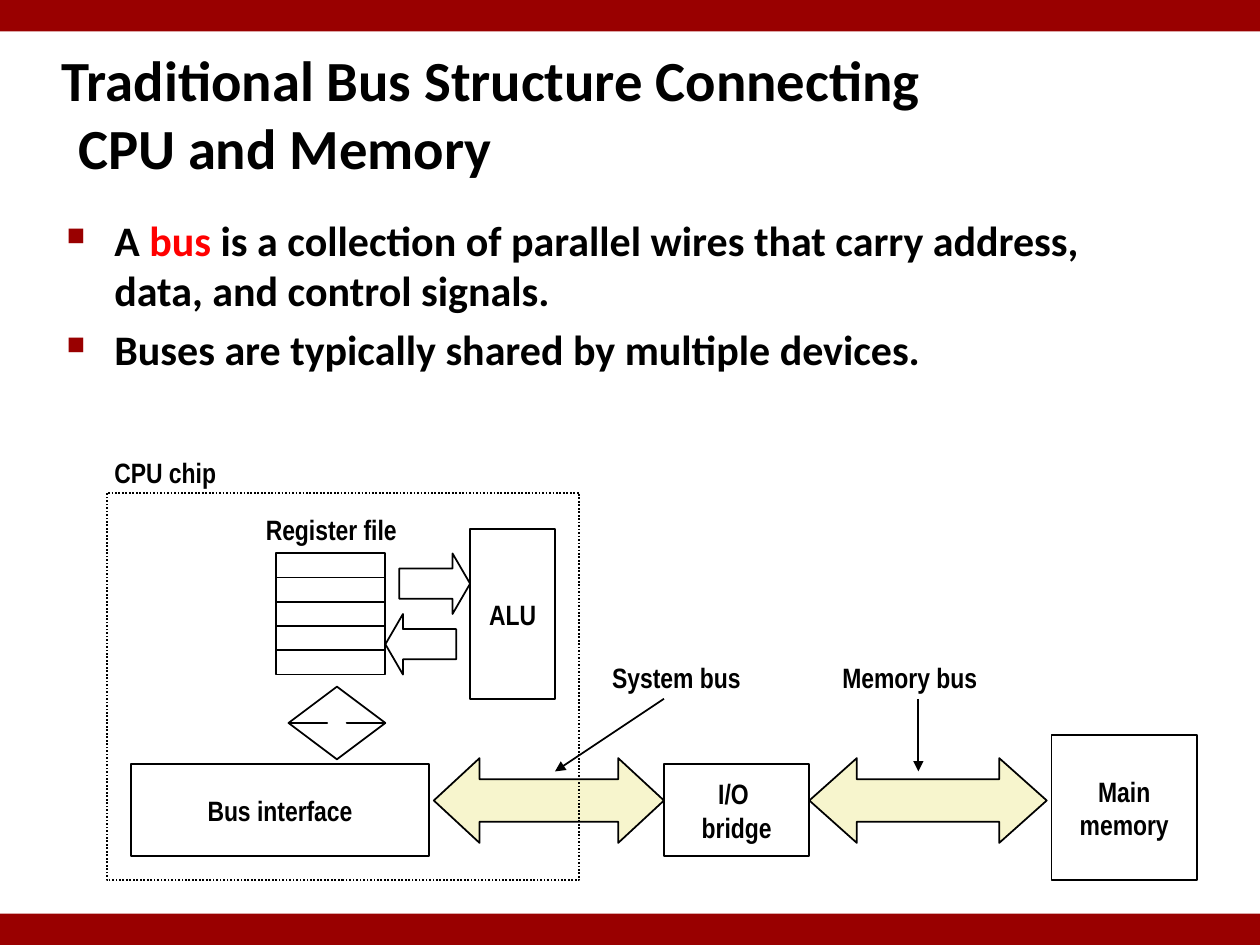
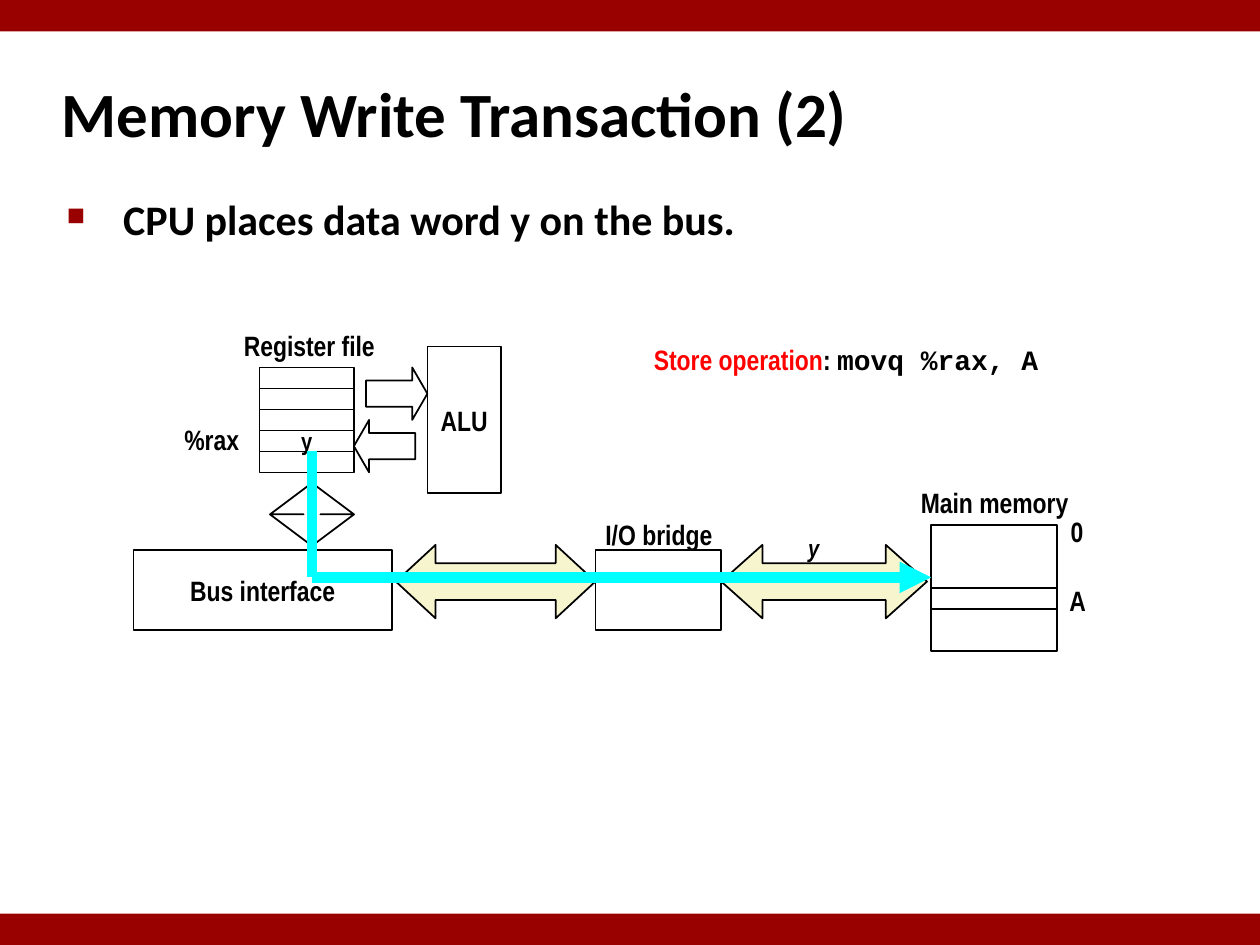
from dataclasses import dataclass
from lxml.etree import SubElement
from pptx import Presentation
from pptx.dml.color import RGBColor
from pptx.enum.dml import MSO_LINE_DASH_STYLE as Dash
from pptx.enum.shapes import MSO_CONNECTOR as Connector, MSO_SHAPE as Shape
from pptx.enum.text import MSO_ANCHOR as Anchor, MSO_AUTO_SIZE as AutoSize, PP_ALIGN as Align
from pptx.oxml.ns import qn
from pptx.util import Inches, Pt

SLIDE_WIDTH, SLIDE_HEIGHT = 10, 7.5
TITLE_ONLY = 5


@dataclass(frozen=True)
class Theme:
    band: str = "990000"
    ink: str = "000000"
    accent: str = "FF0000"
    bus: str = "F7F5CD"
    signal: str = "00FFFF"
    heading_font: str = "Calibri"
    label_font: str = "Arial Narrow"
    code_font: str = "Courier New"
    title_size: float = 36
    long_title_size: float = 32.4
    body_size: float = 24
    label_size: float = 16
    value_size: float = 14
    thin: float = 1
    thick: float = 6


THEME = Theme()


@dataclass(frozen=True)
class Grid:
    left: float
    top: float
    width: float
    columns: int = 88

    @property
    def unit(self):
        return self.width / self.columns

    def point(self, column, row):
        return Inches(self.left + column * self.unit), Inches(self.top + row * self.unit)

    def box(self, column, row, columns, rows):
        return *self.point(column, row), Inches(columns * self.unit), Inches(rows * self.unit)


def apply(target, values):
    for name, value in values.items():
        setattr(target, name, value)


def add_run(paragraph, text, size, font=THEME.label_font, color=THEME.ink, italic=False):
    run = paragraph.add_run()
    apply(run, {"text": text})
    apply(run.font, {"name": font, "size": Pt(size), "bold": True, "italic": italic})
    run.font.color.rgb = RGBColor.from_string(color)


def add_paragraphs(frame, lines, size=THEME.label_size, align=Align.CENTER, **style):
    for index, line in enumerate(lines):
        paragraph = frame.add_paragraph() if index else frame.paragraphs[0]
        paragraph.alignment = align
        add_run(paragraph, line, size, **style)


def set_indent(paragraph, indent):
    properties = paragraph._p.get_or_add_pPr()
    properties.set("marL", str(Inches(indent)))
    properties.set("indent", str(-Inches(indent)))
    return properties


def add_outline(slide, kind, box, fill=None, adjustments=(), lines=(),
                size=THEME.label_size, dash=None):
    shape = slide.shapes.add_shape(kind, *box)
    shape.shadow.inherit = False
    for index, value in enumerate(adjustments):
        shape.adjustments[index] = value
    if fill:
        shape.fill.solid()
        shape.fill.fore_color.rgb = RGBColor.from_string(fill)
    else:
        shape.fill.background()
    shape.line.color.rgb = RGBColor.from_string(THEME.ink)
    shape.line.width = Pt(THEME.thin)
    if dash:
        shape.line.dash_style = dash
    if lines:
        apply(shape.text_frame, {"word_wrap": False, "vertical_anchor": Anchor.MIDDLE})
        add_paragraphs(shape.text_frame, lines, size)
    return shape


def add_label(slide, box, text, align=Align.LEFT, **style):
    frame = slide.shapes.add_textbox(*box).text_frame
    apply(frame, {"word_wrap": False, "vertical_anchor": Anchor.MIDDLE})
    add_paragraphs(frame, [text], align=align, **style)


def add_line(slide, start, end, color=THEME.ink, width=THEME.thin, arrow=True):
    connector = slide.shapes.add_connector(Connector.STRAIGHT, *start, *end)
    connector.line.color.rgb = RGBColor.from_string(color)
    connector.line.width = Pt(width)
    if arrow:
        SubElement(connector.line._get_or_add_ln(), qn("a:tailEnd"), type="triangle")
    SubElement(connector._element.spPr, qn("a:effectLst"))


def add_bands(slide):
    height = SLIDE_HEIGHT / 30
    for top in (0, SLIDE_HEIGHT - height):
        band = slide.shapes.add_shape(Shape.RECTANGLE, 0, Inches(top),
                                      Inches(SLIDE_WIDTH), Inches(height))
        band.shadow.inherit = False
        band.fill.solid()
        band.fill.fore_color.rgb = RGBColor.from_string(THEME.band)
        band.line.fill.background()


def add_titled_slide(presentation, title_lines, size):
    slide = presentation.slides.add_slide(presentation.slide_layouts[TITLE_ONLY])
    title = slide.shapes.title
    apply(title, {"left": Inches(0.39), "top": Inches(0.48),
                  "width": Inches(9.61), "height": Inches(0.83)})
    frame = title.text_frame
    apply(frame, {"word_wrap": True, "auto_size": AutoSize.NONE,
                  "vertical_anchor": Anchor.MIDDLE})
    paragraph = frame.paragraphs[0]
    paragraph.alignment = Align.LEFT
    set_indent(paragraph, 0.13)
    for index, line in enumerate(title_lines):
        if index:
            paragraph.add_line_break()
        add_run(paragraph, line, size, THEME.heading_font)
    add_bands(slide)
    return slide


def add_bullets(slide, top, bullets, indent):
    frame = slide.shapes.add_textbox(Inches(0.43), Inches(top),
                                     Inches(8.64), Inches(1.5)).text_frame
    frame.word_wrap = True
    for index, runs in enumerate(bullets):
        paragraph = frame.add_paragraph() if index else frame.paragraphs[0]
        if index:
            paragraph.space_before = Pt(THEME.body_size * 0.2)
        properties = set_indent(paragraph, indent)
        color = SubElement(properties, qn("a:buClr"))
        SubElement(color, qn("a:srgbClr"), val=THEME.band)
        SubElement(properties, qn("a:buSzPct"), val="60000")
        SubElement(properties, qn("a:buChar"), char="■")
        for text, run_color in runs:
            add_run(paragraph, text, THEME.body_size, THEME.heading_font, run_color)


def add_register_file(slide, grid, values):
    for index in range(5):
        value = values.get(index)
        add_outline(slide, Shape.RECTANGLE, grid.box(12, 2 + 2 * index, 9, 2),
                    lines=[value] if value else (), size=THEME.value_size)


def add_computer(slide, grid, bridge_lines=(), memory_lines=(), register_values=None):
    blocks = [
        ((76, 17, 12, 12), memory_lines),
        ((44, 19.4, 12, 7.6), bridge_lines),
        ((0, 19.4, 24.6, 7.6), ["Bus interface"]),
        ((28, 0, 7, 14), ["ALU"]),
    ]
    arrows = [
        (Shape.LEFT_RIGHT_ARROW, (56, 18.9, 19.6, 7), (0.5, 0.56), THEME.bus),
        (Shape.LEFT_RIGHT_ARROW, (25, 18.9, 19, 7), (0.5, 0.54), THEME.bus),
        (Shape.RIGHT_ARROW, (22.15, 2, 5.85, 5), (0.5, 0.29), None),
        (Shape.LEFT_ARROW, (21, 7, 5.85, 5), (0.5, 0.29), None),
        (Shape.UP_DOWN_ARROW, (13, 13, 8, 6), (0.5, 0.2), None),
    ]
    for cells, lines in blocks:
        add_outline(slide, Shape.RECTANGLE, grid.box(*cells), lines=lines)
    for kind, cells, adjustments, fill in arrows:
        add_outline(slide, kind, grid.box(*cells), fill, adjustments)
    add_register_file(slide, grid, register_values or {})


def add_bus_callouts(slide, grid):
    add_outline(slide, Shape.RECTANGLE, grid.box(-2, -3, 39, 32), dash=Dash.ROUND_DOT)
    for text, cells in (
        ("CPU chip", (-2.4, -6.6, 12.4, 3.8)),
        ("Register file", (10.1, -1.9, 13.1, 3.8)),
        ("System bus", (38.7, 10.3, 12.8, 3.8)),
        ("Memory bus", (57.7, 10.3, 13.4, 3.8)),
    ):
        add_label(slide, grid.box(*cells), text)
    for start, end in (((44, 14), (35, 20)), ((65, 14), (65, 20))):
        add_line(slide, grid.point(*start), grid.point(*end))


def add_store_command(slide, box):
    frame = slide.shapes.add_textbox(*box).text_frame
    frame.word_wrap = False
    paragraph = frame.paragraphs[0]
    for text, font, color in (
        ("Store operation", THEME.label_font, THEME.accent),
        (": ", THEME.label_font, THEME.ink),
        ("movq %rax, A", THEME.code_font, THEME.ink),
    ):
        add_run(paragraph, text, THEME.label_size, font, color)


def add_write_path(slide, grid):
    add_label(slide, grid.box(63.1, 17.2, 3.7, 4), "y", size=THEME.value_size, italic=True)
    register, corner, memory = (grid.point(*cell) for cell in ((17, 10), (17, 22), (76, 22)))
    signal = {"color": THEME.signal, "width": THEME.thick}
    add_line(slide, register, corner, arrow=False, **signal)
    add_line(slide, corner, memory, **signal)
    add_outline(slide, Shape.RECTANGLE, grid.box(76, 23, 12, 2))
    for text, cells in (
        ("Register file", (9.2, -2.3, 15.1, 4.4)),
        ("Main memory", (73.7, 12.6, 16.7, 4.4)),
        ("0", (88, 15.4, 3.8, 4.4)),
        ("A", (87.8, 22, 4.3, 4.4)),
        ("%rax", (3.6, 6.6, 7.7, 4.4)),
        ("I/O bridge", (43.7, 15.7, 12.7, 4.4)),
    ):
        add_label(slide, grid.box(*cells), text, Align.CENTER)
    add_store_command(slide, grid.box(48.4, -1, 39.6, 7.7))


def build_bus_structure(presentation):
    slide = add_titled_slide(
        presentation, ["Traditional Bus Structure Connecting ", "CPU and Memory"],
        THEME.long_title_size)
    add_bullets(slide, 1.65, [
        [("A ", THEME.ink), ("bus", THEME.accent),
         (" is a collection of parallel wires that carry address, data, and control signals.",
          THEME.ink)],
        [("Buses are typically shared by multiple devices.", THEME.ink)],
    ], indent=0.38)
    grid = Grid(1.04, 4.2, 8.46)
    add_computer(slide, grid, ["I/O ", "bridge"], ["Main", "memory"])
    add_bus_callouts(slide, grid)


def build_memory_write(presentation):
    slide = add_titled_slide(presentation, ["Memory Write Transaction (2)"], THEME.title_size)
    add_bullets(slide, 1.49, [[("CPU places data word y on the bus.", THEME.ink)]], indent=0.45)
    grid = Grid(1.06, 2.75, 7.33)
    add_computer(slide, grid, register_values={3: "y"})
    add_write_path(slide, grid)


def main():
    presentation = Presentation()
    apply(presentation, {"slide_width": Inches(SLIDE_WIDTH),
                         "slide_height": Inches(SLIDE_HEIGHT)})
    build_bus_structure(presentation)
    build_memory_write(presentation)
    presentation.save("out.pptx")


if __name__ == "__main__":
    main()
